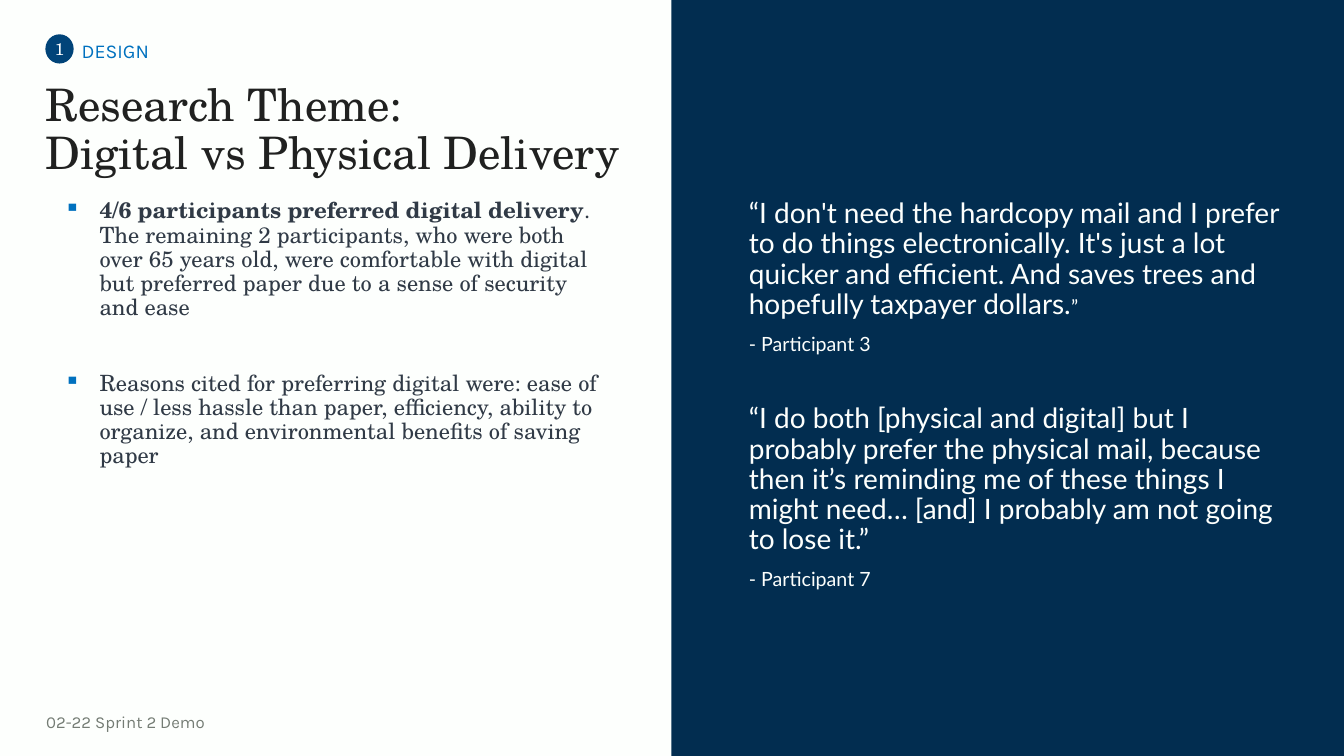
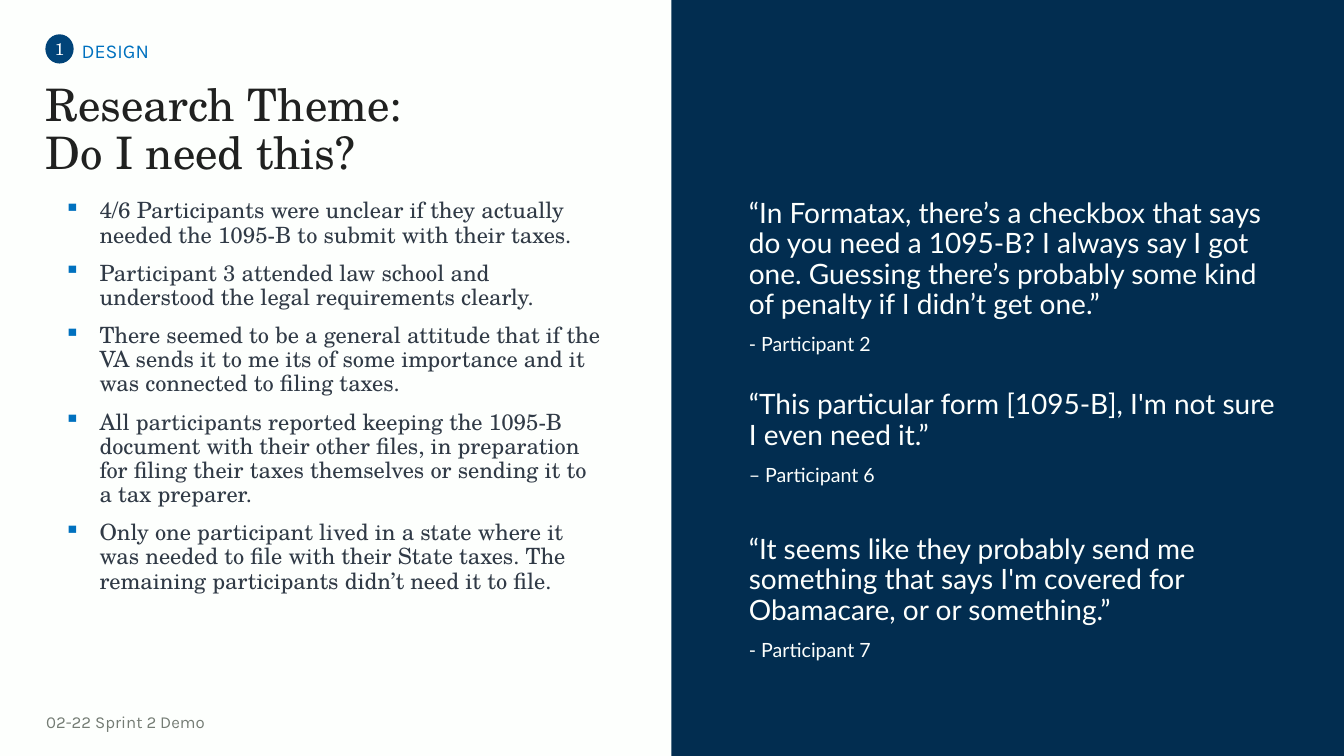
from dataclasses import dataclass

from lxml.etree import SubElement
from pptx import Presentation
from pptx.dml.color import RGBColor
from pptx.enum.shapes import MSO_SHAPE
from pptx.enum.text import MSO_ANCHOR, PP_ALIGN
from pptx.oxml.ns import qn
from pptx.util import Pt

PAPER = RGBColor(0xFD, 0xFF, 0xFD)
WHITE = RGBColor(0xFF, 0xFF, 0xFF)
INK = RGBColor(0x20, 0x21, 0x20)
SLATE = RGBColor(0x30, 0x3A, 0x46)
GREY = RGBColor(0x74, 0x7C, 0x74)
BLUE = RGBColor(0x00, 0x71, 0xBF)
BADGE_BLUE = RGBColor(0x01, 0x44, 0x79)
NAVY = RGBColor(0x02, 0x2D, 0x50)

SERIF, SANS, LABEL = "TeX Gyre Schola", "Lato", "Karla"

WIDTH, HEIGHT = 960, 540
CONTENT_TOP, CONTENT_WIDTH, CONTENT_HEIGHT = 139, 409.7, 335.5
CONTENT_INSETS = (7.2, 3.6, 7.2, 3.6)
LINE_SPACING = 0.9
PARAGRAPH_GAP = 10


@dataclass(frozen=True)
class TextStyle:
    font: str
    size: float
    color: RGBColor


TITLE = TextStyle(SERIF, 32, INK)
FINDING = TextStyle(SERIF, 16, SLATE)
QUOTE = TextStyle(SANS, 20, PAPER)
SPEAKER = TextStyle(SANS, 14, PAPER)
BADGE = TextStyle(SERIF, 12, WHITE)
SECTION = TextStyle(LABEL, 14, BLUE)
FOOTER = TextStyle(LABEL, 12, GREY)


@dataclass(frozen=True)
class Finding:
    text: str
    lead: str = ""
    gap: float = PARAGRAPH_GAP


@dataclass(frozen=True)
class Quote:
    text: str
    speaker: str
    closing: str = ""
    gap: float = 35


def add_run(paragraph, text, style, bold=False):
    run = paragraph.add_run()
    run.text = text
    run.font.name = style.font
    run.font.size = Pt(style.size)
    run.font.color.rgb = style.color
    run.font.bold = bold


def set_insets(frame, insets):
    frame.margin_left, frame.margin_top, frame.margin_right, frame.margin_bottom = map(Pt, insets)


def add_text_frame(slide, box, insets=(0, 0, 0, 0)):
    frame = slide.shapes.add_textbox(*map(Pt, box)).text_frame
    frame.word_wrap = True
    set_insets(frame, insets)
    return frame


def add_filled_shape(slide, kind, box, color):
    shape = slide.shapes.add_shape(kind, *map(Pt, box))
    shape.shadow.inherit = False
    shape.fill.solid()
    shape.fill.fore_color.rgb = color
    shape.line.fill.background()
    return shape


def next_paragraph(frame, gap, left, hanging=0):
    """Return the empty first paragraph, without a gap, or a new one below it."""
    is_first = not frame.paragraphs[0].runs
    paragraph = frame.paragraphs[0] if is_first else frame.add_paragraph()
    paragraph.line_spacing = LINE_SPACING
    paragraph.space_before = Pt(0 if is_first else gap)
    properties = paragraph._p.get_or_add_pPr()
    properties.set("marL", str(Pt(left)))
    properties.set("indent", str(Pt(-hanging)))
    return paragraph


def add_bullet(paragraph):
    properties = paragraph._p.get_or_add_pPr()
    color = SubElement(properties, qn("a:buClr"))
    SubElement(color, qn("a:srgbClr"), val=str(BLUE))
    SubElement(properties, qn("a:buChar"), char="▪")


def add_title(slide, lines):
    paragraph = add_text_frame(slide, (32.4, 59, 800, 80)).paragraphs[0]
    paragraph.line_spacing = LINE_SPACING
    for index, line in enumerate(lines):
        if index:
            paragraph.add_line_break()
        add_run(paragraph, line, TITLE)


def add_section_label(slide, number, name):
    badge = add_filled_shape(slide, MSO_SHAPE.OVAL, (32.4, 24.5, 20.2, 20.9), BADGE_BLUE)
    frame = badge.text_frame
    set_insets(frame, (0, 0, 0, 0))
    frame.vertical_anchor = MSO_ANCHOR.MIDDLE
    frame.paragraphs[0].alignment = PP_ALIGN.CENTER
    add_run(frame.paragraphs[0], number, BADGE)
    label = add_text_frame(slide, (58.3, 24.5, 380, 28.8), (0, 3.6, 0, 3.6))
    add_run(label.paragraphs[0], name, SECTION)


def add_footer(slide, text):
    frame = add_text_frame(slide, (33, 504.7, 214.6, 21.6), (0, 3.6, 7.2, 3.6))
    add_run(frame.paragraphs[0], text, FOOTER)


def add_findings(slide, findings):
    box = (28, CONTENT_TOP, CONTENT_WIDTH, CONTENT_HEIGHT)
    frame = add_text_frame(slide, box, CONTENT_INSETS)
    for finding in findings:
        paragraph = next_paragraph(frame, finding.gap, left=36, hanging=25.2)
        add_bullet(paragraph)
        if finding.lead:
            add_run(paragraph, finding.lead, FINDING, bold=True)
        add_run(paragraph, finding.text, FINDING)


def add_quotes(slide, quotes):
    add_filled_shape(slide, MSO_SHAPE.RECTANGLE, (479.5, 0, WIDTH - 479.5, HEIGHT), NAVY)
    box = (517, CONTENT_TOP, CONTENT_WIDTH, CONTENT_HEIGHT)
    frame = add_text_frame(slide, box, CONTENT_INSETS)
    for quote in quotes:
        paragraph = next_paragraph(frame, quote.gap, left=10.8)
        add_run(paragraph, quote.text, QUOTE)
        if quote.closing:
            add_run(paragraph, quote.closing, SPEAKER)
        add_run(next_paragraph(frame, PARAGRAPH_GAP, left=10.8), quote.speaker, SPEAKER)


def add_theme_slide(presentation, theme, findings, quotes):
    slide = presentation.slides.add_slide(presentation.slide_layouts[6])
    slide.background.fill.solid()
    slide.background.fill.fore_color.rgb = PAPER
    add_findings(slide, findings)
    add_title(slide, ("Research Theme:", theme))
    add_section_label(slide, "1", "DESIGN")
    add_footer(slide, "02-22 Sprint 2 Demo")
    add_quotes(slide, quotes)


DELIVERY_FINDINGS = [
    Finding(
        ". The remaining 2 participants, who were both over 65 years old, were comfortable "
        "with digital but preferred paper due to a sense of security and ease",
        lead="4/6 participants preferred digital delivery",
    ),
    Finding(
        "Reasons cited for preferring digital were: ease of use / less hassle than paper, "
        "efficiency, ability to organize, and environmental benefits of saving paper",
        gap=37,
    ),
]
DELIVERY_QUOTES = [
    Quote(
        "“I don't need the hardcopy mail and I prefer to do things electronically. It's just "
        "a lot quicker and efficient. And saves trees and hopefully taxpayer dollars.",
        "- Participant 3",
        closing="”",
    ),
    Quote(
        "“I do both [physical and digital] but I probably prefer the physical mail, because "
        "then it’s reminding me of these things I might need… [and] I probably am not going "
        "to lose it.”",
        "- Participant 7",
    ),
]
NEED_FINDINGS = [
    Finding(
        "4/6 Participants were unclear if they actually needed the 1095-B to submit with "
        "their taxes."
    ),
    Finding("Participant 3 attended law school and understood the legal requirements clearly."),
    Finding(
        "There seemed to be a general attitude that if the VA sends it to me its of some "
        "importance and it was connected to filing taxes."
    ),
    Finding(
        "All participants reported keeping the 1095-B document with their other files, in "
        "preparation for filing their taxes themselves or sending it to a tax preparer."
    ),
    Finding(
        "Only one participant lived in a state where it was needed to file with their State "
        "taxes. The remaining participants didn’t need it to file."
    ),
]
NEED_QUOTES = [
    Quote(
        "“In Formatax, there’s a checkbox that says do you need a 1095-B? I always say I got "
        "one. Guessing there’s probably some kind of penalty if I didn’t get one.”",
        "- Participant 2",
    ),
    Quote(
        "“This particular form [1095-B], I'm not sure I even need it.”",
        "– Participant 6",
        gap=25,
    ),
    Quote(
        "“It seems like they probably send me something that says I'm covered for Obamacare, "
        "or or something.”",
        "- Participant 7",
    ),
]


def main():
    presentation = Presentation()
    presentation.slide_width = Pt(WIDTH)
    presentation.slide_height = Pt(HEIGHT)
    add_theme_slide(
        presentation, "Digital vs Physical Delivery", DELIVERY_FINDINGS, DELIVERY_QUOTES
    )
    add_theme_slide(presentation, "Do I need this?", NEED_FINDINGS, NEED_QUOTES)
    presentation.save("out.pptx")


if __name__ == "__main__":
    main()
